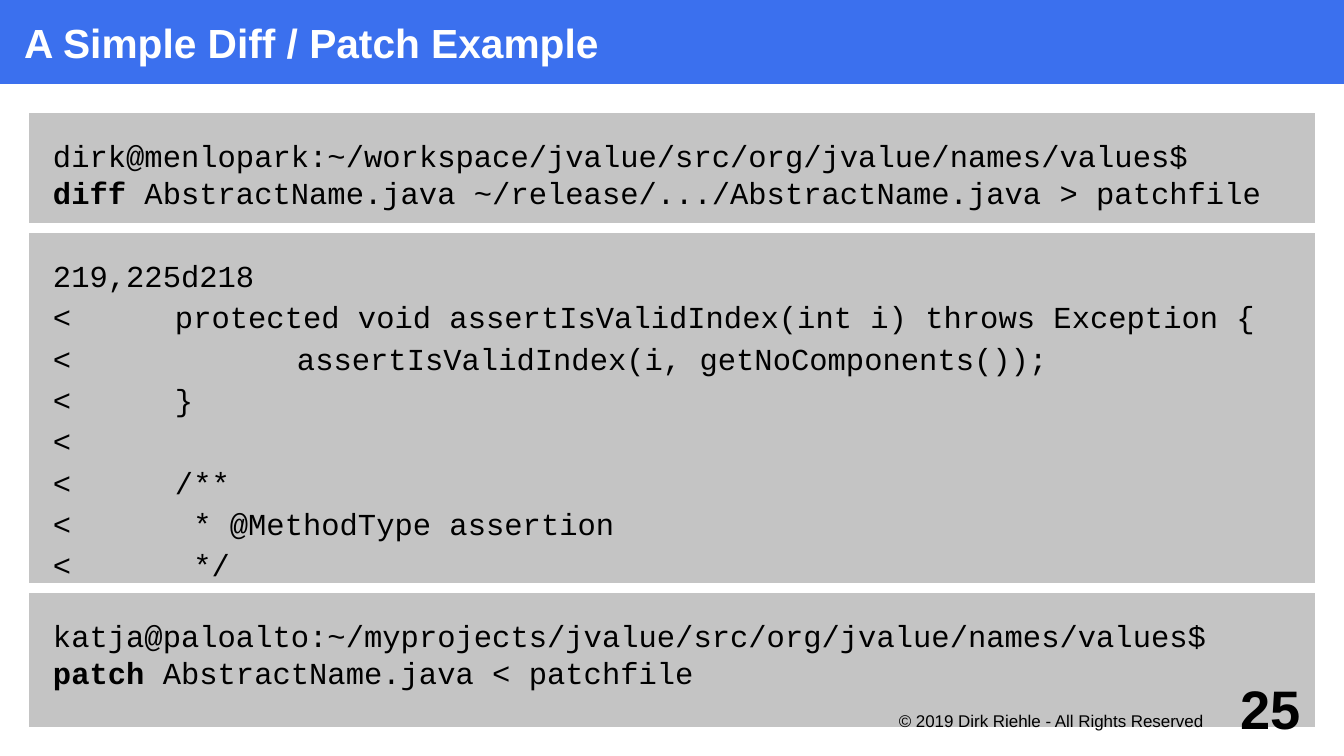
from dataclasses import dataclass

from lxml import etree
from pptx import Presentation
from pptx import util as u
from pptx.dml.color import RGBColor
from pptx.enum import shapes, text
from pptx.oxml import ns

EMU_PER_PX = 914400 / 122


def px(length):
    return u.Emu(round(length * EMU_PER_PX))


@dataclass(frozen=True)
class Theme:
    banner: RGBColor = RGBColor(0x3B, 0x70, 0xEE)
    panel: RGBColor = RGBColor(0xC4, 0xC4, 0xC4)
    paper: RGBColor = RGBColor(0xFF, 0xFF, 0xFF)
    ink: RGBColor = RGBColor(0, 0, 0)
    sans: str = "Arial"
    mono: str = "Courier New"
    title_size: int = 24
    code_size: int = 18
    notice_size: int = 10
    number_size: int = 32
    panel_border: float = 5.67
    code_gap: float = 2.8
    code_tab: int = 122


class SlideBuilder:
    def __init__(self, slide, theme):
        self.slide = slide
        self.theme = theme

    def frame(self, shape, insets, anchor):
        """Set insets (left, top, right, bottom) and anchor."""
        frame = shape.text_frame
        frame.word_wrap = True
        frame.auto_size = text.MSO_AUTO_SIZE.NONE
        frame.vertical_anchor = anchor
        (frame.margin_left, frame.margin_top,
         frame.margin_right, frame.margin_bottom) = map(px, insets)
        return frame

    def style(self, run, font, size, color, bold=False):
        run.font.name = font
        run.font.size = u.Pt(size)
        run.font.color.rgb = color
        run.font.bold = bold

    def tab_stops(self, line):
        """Give an indented line one stop for each of its tabs."""
        depth = line.text.count("\t")
        if not depth:
            return
        stops = etree.SubElement(line._p.get_or_add_pPr(), ns.qn("a:tabLst"))
        for level in range(1, depth + 1):
            etree.SubElement(stops, ns.qn("a:tab"), algn="l",
                             pos=str(px(level * self.theme.code_tab)))

    def title(self, wording, width, height):
        banner = self.slide.shapes.title
        banner.left, banner.top = px(0), px(0)
        banner.width, banner.height = px(width), px(height)
        banner.fill.solid()
        banner.fill.fore_color.rgb = self.theme.banner
        frame = self.frame(banner, (24, 0, 0, 0), text.MSO_ANCHOR.MIDDLE)
        frame.text = wording
        heading = frame.paragraphs[0]
        heading.alignment = text.PP_ALIGN.LEFT
        self.style(heading.runs[0], self.theme.sans, self.theme.title_size,
                   self.theme.paper, bold=True)

    def code_panel(self, lines, left, top, width, height, command=""):
        """Show code lines; a command in the text is set in bold."""
        theme = self.theme
        panel = self.slide.shapes.add_shape(
            shapes.MSO_SHAPE.RECTANGLE, *map(px, (left, top, width, height)))
        panel.shadow.inherit = False
        panel.fill.solid()
        panel.fill.fore_color.rgb = theme.panel
        panel.line.color.rgb = theme.paper
        panel.line.width = u.Pt(theme.panel_border)
        frame = self.frame(panel, (29, 29, 5, 5), text.MSO_ANCHOR.TOP)
        frame.text = "\n".join(lines)
        for line in frame.paragraphs:
            line.alignment = text.PP_ALIGN.LEFT
            line.space_after = u.Pt(theme.code_gap)
            self.tab_stops(line)
            if command:
                arguments = line.runs[-1].text.removeprefix(command)
                line.runs[-1].text = command
                line.add_run().text = arguments
            for run in line.runs:
                self.style(run, theme.mono, theme.code_size, theme.ink,
                           bold=run.text == command)

    def label(self, wording, box, insets, size, anchor, bold=False):
        holder = self.slide.shapes.add_textbox(*map(px, box))
        frame = self.frame(holder, insets, anchor)
        frame.text = wording
        line = frame.paragraphs[0]
        line.alignment = text.PP_ALIGN.RIGHT
        self.style(line.runs[0], self.theme.sans, size, self.theme.ink, bold)


DIFF_CALL = [
    "dirk@menlopark:~/workspace/jvalue/src/org/jvalue/names/values$\v"
    "diff AbstractName.java ~/release/.../AbstractName.java > patchfile",
]
PATCH_FILE = [
    "219,225d218",
    "< \tprotected void assertIsValidIndex(int i) throws Exception {",
    "< \t\tassertIsValidIndex(i, getNoComponents());",
    "< \t}",
    "<",
    "< \t/**",
    "< \t * @MethodType assertion",
    "< \t */",
]
PATCH_CALL = [
    "katja@paloalto:~/myprojects/jvalue/src/org/jvalue/names/values$\v"
    "patch AbstractName.java < patchfile",
]


def main():
    width, height, margin = 1344, 756, 24
    deck = Presentation()
    deck.slide_width, deck.slide_height = px(width), px(height)
    theme = Theme()
    builder = SlideBuilder(deck.slides.add_slide(deck.slide_layouts[5]), theme)

    # Title banner
    builder.title("A Simple Diff / Patch Example", width, 84)

    # Code panels, stacked edge to edge
    top = 108
    for lines, panel_height, command in (
        (DIFF_CALL, 120, "diff"),
        (PATCH_FILE, 360, ""),
        (PATCH_CALL, 144, "patch"),
    ):
        builder.code_panel(lines, margin, top, width - 2 * margin,
                           panel_height, command)
        top += panel_height

    # Copyright line and page number
    builder.label("© 2019 Dirk Riehle - All Rights Reserved",
                  (865, 709, 384, 37), (0, 2, 46, 0),
                  theme.notice_size, text.MSO_ANCHOR.TOP)
    builder.label("25", (1225, 672, 96, 72), (0, 0, 20, 0),
                  theme.number_size, text.MSO_ANCHOR.MIDDLE, bold=True)

    deck.save("out.pptx")


if __name__ == "__main__":
    main()
